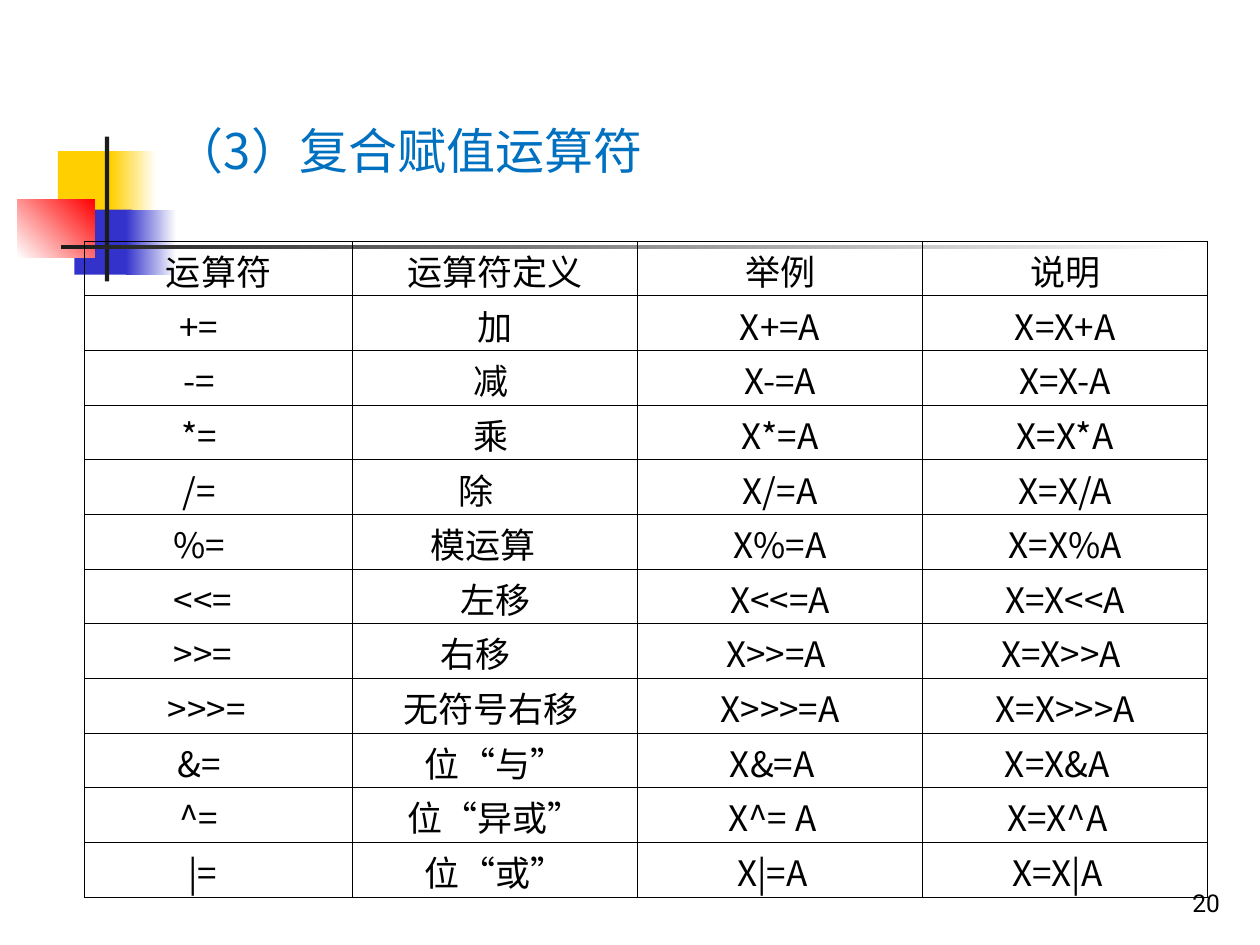
from itertools import groupby
from typing import NamedTuple, Optional

from lxml import etree
from pptx import Presentation
from pptx.dml.color import RGBColor
from pptx.enum import shapes, text
from pptx.oxml import ns
from pptx.util import Pt

YELLOW = RGBColor(0xFF, 0xCF, 0x01)
INDIGO = RGBColor(0x33, 0x33, 0xCC)
RED = RGBColor(0xFF, 0x00, 0x00)
CHARCOAL = RGBColor(0x1C, 0x1C, 0x1C)
WHITE = RGBColor(0xFF, 0xFF, 0xFF)
BLACK = RGBColor(0x00, 0x00, 0x00)
TITLE_BLUE = RGBColor(0x00, 0x70, 0xC0)

CJK_FONT = "Noto Sans CJK SC"
QUOTE_FONT = "Arial"
NUMBER_FONT = "Roboto"

COLUMN_WIDTHS = (153.2, 162.9, 162.9, 162.9)
ROW_HEIGHT = 31.25
SIDE_MARGIN = 7.2
SHIFT_STEP = 4.48  # extra right margin per step, moves centred text left


class Block(NamedTuple):
    left: float
    top: float
    width: float
    height: float
    color: RGBColor
    fade_to: Optional[RGBColor] = None
    angle: float = 0


class Operator(NamedTuple):
    symbol: str
    meaning: str
    example: str
    expansion: str
    shifts: tuple = (5, 0, 0, 0)


ORNAMENT = (
    Block(33.1, 86.4, 34.6, 37.4, YELLOW),
    Block(63.4, 86.4, 25.9, 37.4, YELLOW, WHITE),
    Block(42.5, 119.8, 33.1, 37.2, INDIGO),
    Block(72, 119.8, 28.8, 37.2, INDIGO, WHITE),
    Block(10, 113.8, 44.2, 33.5, WHITE, RED, 45),
    Block(59.9, 78, 2.5, 82.8, CHARCOAL),
    Block(34.8, 140.1, 648, 2.5, CHARCOAL, WHITE),
)

OPERATORS = (
    Operator("运算符", "运算符定义", "举例", "说明", (0, 0, 0, 0)),
    Operator("+=", "加", "X+=A", "X=X+A"),
    Operator("-=", "减", "X-=A", "X=X-A", (5, 1, 0, 0)),
    Operator("*=", "乘", "X*=A", "X=X*A", (5, 1, 0, 0)),
    Operator("/=", "除", "X/=A", "X=X/A", (5, 5, 0, 0)),
    Operator("%=", "模运算", "X%=A", "X=X%A", (5, 3, 0, 0)),
    Operator("<<=", "左移", "X<<=A", "X=X<<A", (4, 0, 0, 0)),
    Operator(">>=", "右移", "X>>=A", "X=X>>A", (4, 5, 1, 1)),
    Operator(">>>=", "无符号右移", "X>>>=A", "X=X>>>A", (3, 1, 0, 0)),
    Operator("&=", "位“与”", "X&=A", "X=X&A", (5, 0, 2, 2)),
    Operator("^=", "位“异或”", "X^= A", "X=X^A", (5, 0, 2, 2)),
    Operator("|=", "位“或”", "X|=A", "X=X|A", (4, 0, 2, 2)),
)


def write(paragraph, content: str, *, size: float, color: RGBColor = BLACK,
          font: str = CJK_FONT, align=text.PP_ALIGN.LEFT) -> None:
    """Fill a paragraph, giving quotation marks their own Latin font."""
    paragraph.alignment = align
    for quoted, chars in groupby(content, key=lambda char: char in "“”"):
        run = paragraph.add_run()
        run.text = "".join(chars)
        run.font.size = Pt(size)
        run.font.color.rgb = color
        run.font.name = QUOTE_FONT if quoted else font
        east_asian = etree.SubElement(run.font._element, ns.qn("a:ea"))
        east_asian.set("typeface", CJK_FONT)


def draw_block(slide, block: Block) -> None:
    shape = slide.shapes.add_shape(
        shapes.MSO_SHAPE.RECTANGLE, Pt(block.left), Pt(block.top),
        Pt(block.width), Pt(block.height))
    shape.shadow.inherit = False
    shape.line.fill.background()
    if block.fade_to is None:
        shape.fill.solid()
        shape.fill.fore_color.rgb = block.color
        return
    shape.fill.gradient()
    shape.fill.gradient_angle = block.angle
    for stop, color in zip(shape.fill.gradient_stops, (block.color, block.fade_to)):
        stop.color.rgb = color


def add_label(slide, left: float, top: float, width: float, height: float,
              inset_x: float, inset_y: float, anchor):
    """Add a text box and return its first paragraph."""
    frame = slide.shapes.add_textbox(Pt(left), Pt(top), Pt(width), Pt(height)).text_frame
    frame.word_wrap = True
    frame.vertical_anchor = anchor
    frame.margin_left = frame.margin_right = Pt(inset_x)
    frame.margin_top = frame.margin_bottom = Pt(inset_y)
    return frame.paragraphs[0]


def set_borders(cell, color: RGBColor, width: float) -> None:
    properties = cell._tc.get_or_add_tcPr()
    for index, side in enumerate(("lnL", "lnR", "lnT", "lnB")):
        line = etree.Element(ns.qn(f"a:{side}"), w=str(Pt(width)))
        fill = etree.SubElement(line, ns.qn("a:solidFill"))
        etree.SubElement(fill, ns.qn("a:srgbClr"), val=str(color))
        properties.insert(index, line)


def draw_operator_table(slide, operators: tuple) -> None:
    table = slide.shapes.add_table(
        len(operators), len(COLUMN_WIDTHS), Pt(48.3), Pt(137.8),
        Pt(sum(COLUMN_WIDTHS)), Pt(ROW_HEIGHT * len(operators))).table
    table.first_row = table.horz_banding = False
    for column, width in zip(table.columns, COLUMN_WIDTHS):
        column.width = Pt(width)
    for row, operator in zip(table.rows, operators):
        row.height = Pt(ROW_HEIGHT)
        for cell, content, shift in zip(row.cells, operator[:4], operator.shifts):
            cell.fill.background()
            set_borders(cell, BLACK, 0.45)
            cell.margin_left = Pt(SIDE_MARGIN)
            cell.margin_right = Pt(SIDE_MARGIN + SHIFT_STEP * shift)
            cell.margin_top, cell.margin_bottom = Pt(2), Pt(0)
            write(cell.text_frame.paragraphs[0], content, size=20,
                  align=text.PP_ALIGN.CENTER)


def main() -> None:
    deck = Presentation()
    deck.slide_width, deck.slide_height = Pt(720), Pt(540)
    slide = deck.slides.add_slide(deck.slide_layouts[6])

    # Corner ornament and rule
    for block in ORNAMENT:
        draw_block(slide, block)

    # Page number and title
    page_number = add_label(slide, 554.4, 491.8, 149.8, 36, 7.2, 3.6,
                            text.MSO_ANCHOR.BOTTOM)
    write(page_number, "20", size=14, font=NUMBER_FONT, align=text.PP_ALIGN.RIGHT)
    title = add_label(slide, 100, 69, 532, 41, 0, 0, text.MSO_ANCHOR.TOP)
    write(title, "（3）复合赋值运算符", size=28, color=TITLE_BLUE)

    # Compound assignment operators
    draw_operator_table(slide, OPERATORS)

    deck.save("out.pptx")


if __name__ == "__main__":
    main()
